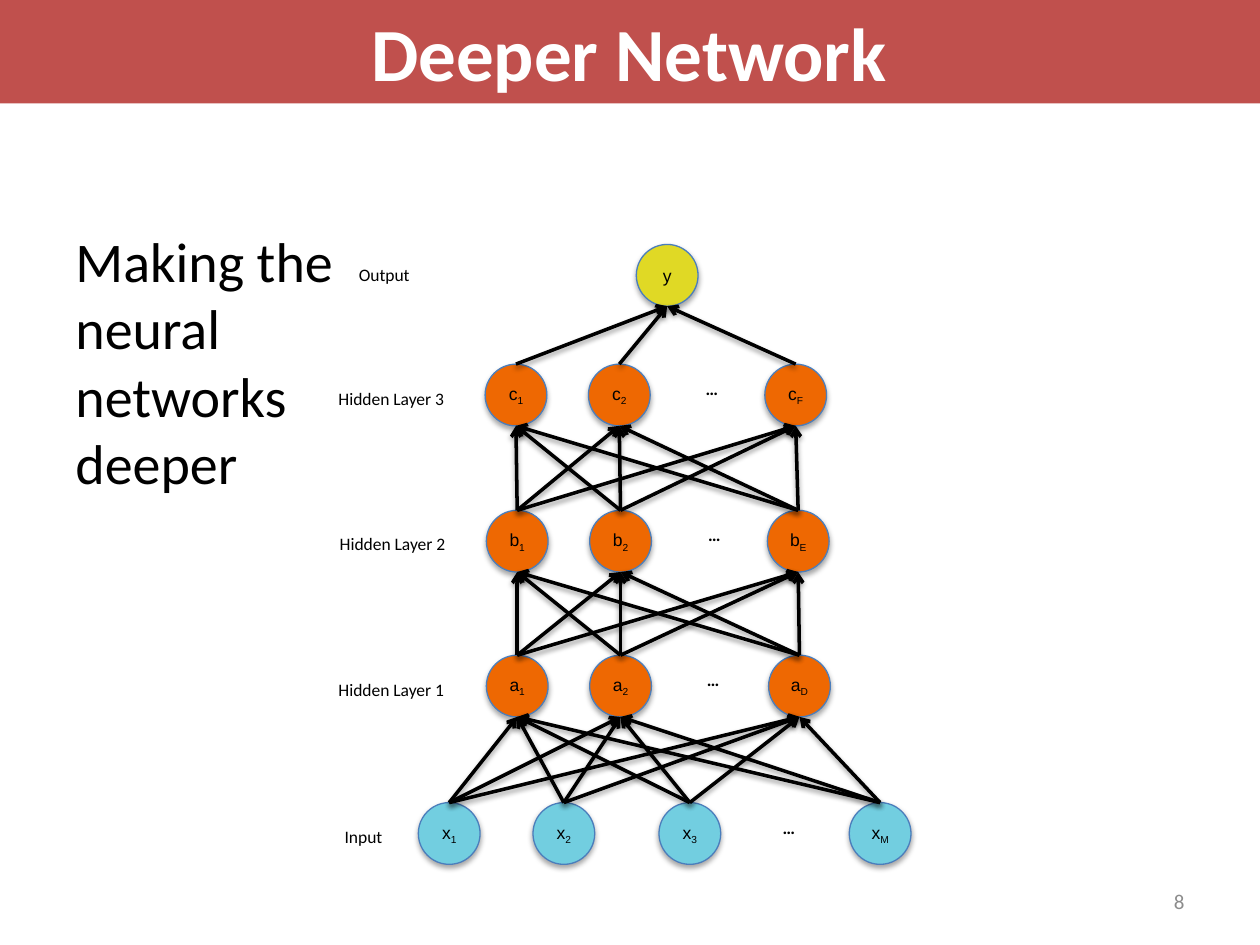
"""Build the slide on making a neural network deeper."""
import itertools

import lxml.etree
import pptx
import pptx.dml.color
import pptx.enum.shapes
import pptx.enum.text
import pptx.oxml.ns
import pptx.util

Inches = pptx.util.Inches
Pt = pptx.util.Pt
Align = pptx.enum.text.PP_ALIGN
Anchor = pptx.enum.text.MSO_ANCHOR
Kind = pptx.enum.shapes.MSO_SHAPE
qn = pptx.oxml.ns.qn
rgb = pptx.dml.color.RGBColor.from_string

HUES = {
    "black": "000000", "white": "FFFFFF", "grey": "8C8C8C", "banner": "C0504D",
    "input": "72CEE0", "hidden": "EE6802", "output": "E0D925", "edge": "4B7EBC",
}
SIZE = 0.49


def write(shape, text, size, hue="black", align=Align.CENTER, anchor=Anchor.TOP,
          bold=False, face="Calibri"):
    frame = shape.text_frame
    frame.text = text
    frame.word_wrap = True
    frame.vertical_anchor = anchor
    line = frame.paragraphs[0]
    line.alignment = align
    font = line.runs[0].font
    font.size, font.name, font.bold = Pt(size), face, bold
    font.color.rgb = rgb(HUES[hue])
    return line


def shade(shape, blur, gap, alpha):
    props = shape._element.spPr
    for old in props.findall(qn("a:effectLst")):
        props.remove(old)
    group = lxml.etree.SubElement(props, qn("a:effectLst"))
    drop = lxml.etree.SubElement(
        group, qn("a:outerShdw"), blurRad=str(Pt(blur)), dist=str(Pt(gap)),
        dir="5400000", rotWithShape="0")
    tint = lxml.etree.SubElement(drop, qn("a:srgbClr"), val=HUES["black"])
    lxml.etree.SubElement(tint, qn("a:alpha"), val=str(alpha * 1000))


deck = pptx.Presentation()
deck.slide_width, deck.slide_height = Inches(10), Inches(7.5)
shapes = deck.slides.add_slide(deck.slide_layouts[6]).shapes

body = shapes.add_textbox(Inches(0.5), Inches(1.75), Inches(2.82), Inches(4.95))
write(body, "Making the neural networks deeper", 32, align=Align.LEFT)
page = shapes.add_textbox(Inches(7.17), Inches(6.95), Inches(2.33), Inches(0.4))
write(page, "8", 12, "grey", Align.RIGHT, Anchor.MIDDLE)

layers = [
    ("output", 1.94, "y", {"": 5.05}, None),
    ("hidden", 2.89, "c", {"1": 3.85, "2": 4.67, "F": 6.07}, 5.49),
    ("hidden", 4.05, "b", {"1": 3.86, "2": 4.68, "E": 6.09}, 5.51),
    ("hidden", 5.2, "a", {"1": 3.86, "2": 4.68, "D": 6.1}, 5.5),
    ("input", 6.37, "x", {"1": 3.32, "2": 4.23, "3": 5.23, "M": 6.74}, 6.1),
]
rows = []
for hue, top, name, spots, dots in layers:
    row = []
    for sub, left in spots.items():
        node = shapes.add_shape(Kind.FLOWCHART_CONNECTOR, Inches(left), Inches(top),
                                Inches(SIZE), Inches(SIZE))
        node.fill.solid()
        node.fill.fore_color.rgb = rgb(HUES[hue])
        node.line.color.rgb = rgb(HUES["edge"])
        node.line.width = Pt(0.75)
        shade(node, 3.1, 1.8, 35)
        line = write(node, name, 10, anchor=Anchor.MIDDLE, face="Arial")
        frame = node.text_frame
        frame.margin_left = frame.margin_right = 0
        if sub:
            run = line.add_run()
            run.text = sub
            run.font.size, run.font.name = Pt(10), "Arial"
            run.font.color.rgb = rgb(HUES["black"])
            run._r.get_or_add_rPr().set("baseline", "-25000")
        row.append(node)
    rows.append(row)
    if dots:
        gap = shapes.add_textbox(Inches(dots), Inches(top + 0.06),
                                 Inches(0.32), Inches(0.27))
        write(gap, "…", 10, anchor=Anchor.MIDDLE, bold=True)

for upper, lower in itertools.pairwise(rows):
    for head, tail in itertools.product(upper, lower):
        link = shapes.add_connector(
            pptx.enum.shapes.MSO_CONNECTOR.STRAIGHT,
            head.left + head.width // 2, head.top + head.height,
            tail.left + tail.width // 2, tail.top)
        link.end_connect(tail, 0)
        link.line.color.rgb = rgb(HUES["black"])
        link.line.width = Pt(2)
        lxml.etree.SubElement(link.line._get_or_add_ln(), qn("a:headEnd"), type="arrow")
        shade(link, 3.1, 1.6, 38)

labels = [
    ("Output", 2.75, 2.05, 0.77, Align.LEFT),
    ("Hidden Layer 3", 2.49, 3.03, 1.23, Align.CENTER),
    ("Hidden Layer 2", 2.5, 4.18, 1.23, Align.CENTER),
    ("Hidden Layer 1", 2.49, 5.34, 1.23, Align.CENTER),
    ("Input", 2.5, 6.51, 0.77, Align.CENTER),
]
for text, left, top, width, align in labels:
    label = shapes.add_textbox(Inches(left), Inches(top), Inches(width), Inches(0.27))
    write(label, text, 10, align=align)

banner = shapes.add_shape(Kind.RECTANGLE, Inches(-0.02), 0, Inches(10.02), Inches(0.82))
banner.shadow.inherit = False
banner.fill.solid()
banner.fill.fore_color.rgb = rgb(HUES["banner"])
banner.line.fill.background()
write(banner, "Deeper Network", 42.9, "white", bold=True)

deck.save("out.pptx")
